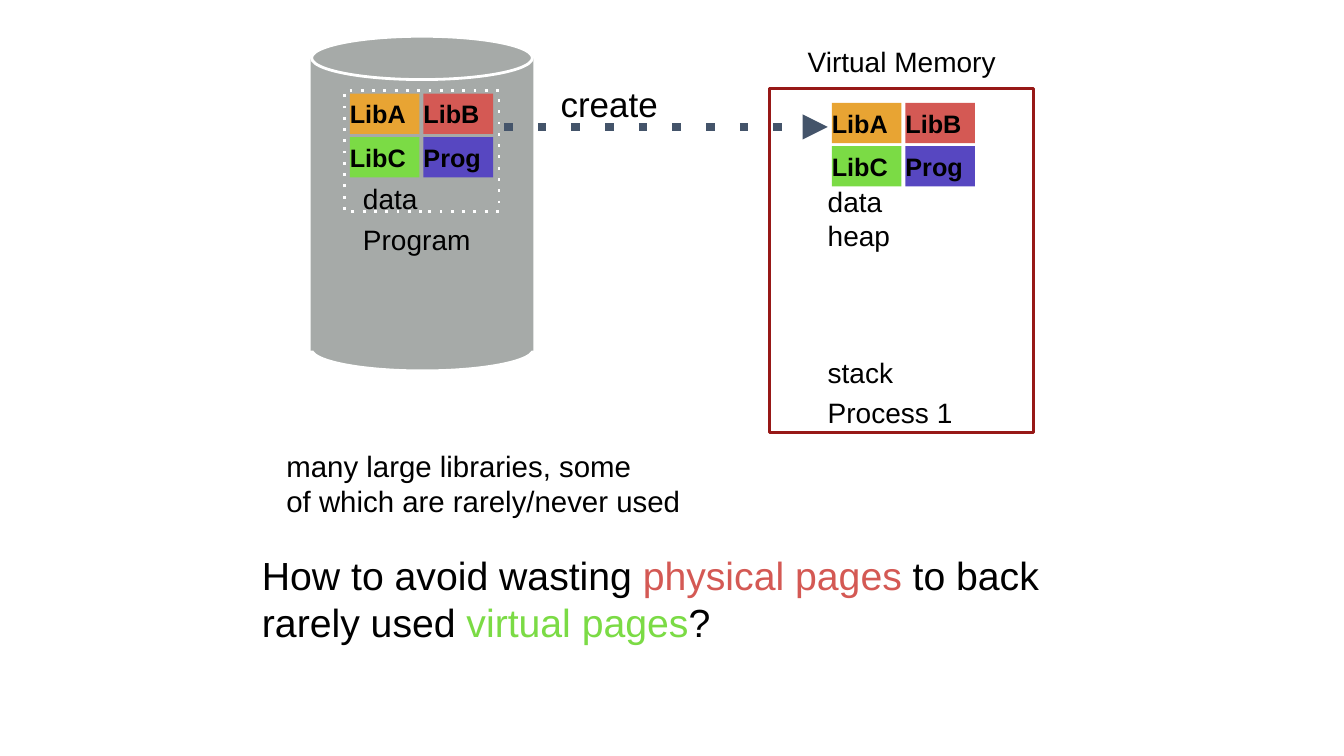
"""Build the slide on loading many libraries into virtual memory."""
from dataclasses import dataclass
from typing import Optional

from lxml.etree import SubElement
from pptx import Presentation
from pptx.dml.color import RGBColor
from pptx.enum.shapes import MSO_CONNECTOR, MSO_SHAPE
from pptx.enum.text import MSO_ANCHOR, PP_ALIGN
from pptx.oxml.ns import qn
from pptx.util import Inches, Pt

BLACK = RGBColor(0x00, 0x00, 0x00)
WHITE = RGBColor(0xFF, 0xFF, 0xFF)
GRAY = RGBColor(0xA6, 0xAA, 0xA8)
MAROON = RGBColor(0x97, 0x18, 0x17)
SLATE = RGBColor(0x44, 0x54, 0x6A)
ORANGE = RGBColor(0xE8, 0xA4, 0x33)
RED = RGBColor(0xD4, 0x59, 0x54)
GREEN = RGBColor(0x7B, 0xDB, 0x45)
PURPLE = RGBColor(0x57, 0x47, 0xC1)
FONT = "Arial"


@dataclass
class Run:
    text: str
    color: RGBColor = BLACK


@dataclass
class Para:
    runs: list[Run]
    before: float = 0
    spacing: float = 1


@dataclass
class Label:
    box: tuple[float, float, float, float]
    size: float
    paras: list[Para]
    inset: tuple[float, float] = (0, 0)
    anchor: MSO_ANCHOR = MSO_ANCHOR.TOP


@dataclass
class Block:
    text: str
    fill: RGBColor


MIDDLE = MSO_ANCHOR.MIDDLE
BLOCKS = [Block("LibA", ORANGE), Block("LibB", RED),
          Block("LibC", GREEN), Block("Prog", PURPLE)]
BLOCK_ORIGINS = [(3.47, 0.93), (8.25, 1.02)]
BLOCK_W, BLOCK_H = 0.69, 0.4
STEP_X, STEP_Y = 0.73, 0.43

LABELS = [
    Label((3.6, 1.8, 1.39, 0.73), 20,
          [Para([Run("data")]), Para([Run("Program")], before=5)]),
    Label((5.52, 0.78, 1.55, 0.5), 25, [Para([Run("create")])],
          (0.04, 0.04), MIDDLE),
    Label((8.21, 1.83, 1.84, 2.42), 20,
          [Para([Run("data")]), Para([Run("heap")]),
           Para([Run("stack")], before=74),
           Para([Run("Process 1")], before=4.5)]),
    Label((2.8, 4.4, 5.49, 0.79), 21,
          [Para([Run("many large libraries, some")]),
           Para([Run("of which are rarely/never used")])],
          (0.04, 0.04), MIDDLE),
    Label((7.97, 0.46, 2.08, 0.35), 20,
          [Para([Run("Virtual Memory")], spacing=0.8)], (0.04, 0.04), MIDDLE),
    Label((2.5, 5.42, 8.33, 1.04), 28,
          [Para([Run("How to avoid wasting "), Run("physical pages", RED),
                 Run(" to back rarely used "), Run("virtual pages", GREEN),
                 Run("?")])], (0.1, 0.05)),
]


def fill_text(tf, paras: list[Para], size: float, inset: tuple[float, float],
              anchor: MSO_ANCHOR, bold: bool = False) -> None:
    """Write paragraphs run by run into a text frame."""
    tf.word_wrap = True
    tf.vertical_anchor = anchor
    tf.margin_left = tf.margin_right = Inches(inset[0])
    tf.margin_top = tf.margin_bottom = Inches(inset[1])
    for i, para in enumerate(paras):
        p = tf.add_paragraph() if i else tf.paragraphs[0]
        p.alignment = PP_ALIGN.LEFT
        p.line_spacing = para.spacing
        if para.before:
            p.space_before = Pt(para.before)
        for run in para.runs:
            r = p.add_run()
            r.text = run.text
            r.font.name = FONT
            r.font.size = Pt(size)
            r.font.bold = bold
            r.font.color.rgb = run.color


def add_label(s, label: Label) -> None:
    """Add a text box."""
    sp = s.shapes.add_textbox(*map(Inches, label.box))
    fill_text(sp.text_frame, label.paras, label.size, label.inset, label.anchor)


def dot_line(line) -> None:
    """Give a coloured line square dots."""
    SubElement(line._get_or_add_ln(), qn("a:prstDash"), val="dot")


def add_figure(s, kind: MSO_SHAPE, box: tuple[float, float, float, float],
               fill: Optional[RGBColor] = None,
               line: Optional[RGBColor] = None):
    """Add a preset shape with an optional fill and outline."""
    sp = s.shapes.add_shape(kind, *map(Inches, box))
    sp.shadow.inherit = False
    if fill is None:
        sp.fill.background()
    else:
        sp.fill.solid()
        sp.fill.fore_color.rgb = fill
    if line is None:
        sp.line.fill.background()
    else:
        sp.line.color.rgb = line
        sp.line.width = Pt(2)
    return sp


def add_blocks(s, left: float, top: float) -> None:
    """Add the two-by-two grid of libraries and program code."""
    for i, block in enumerate(BLOCKS):
        row, col = divmod(i, 2)
        box = (left + col * STEP_X, top + row * STEP_Y, BLOCK_W, BLOCK_H)
        sp = add_figure(s, MSO_SHAPE.RECTANGLE, box, block.fill)
        fill_text(sp.text_frame, [Para([Run(block.text)])], 18, (0, 0),
                  MIDDLE, bold=True)


def add_create_arrow(s) -> None:
    """Add the dotted arrow from the program to the process."""
    ends = map(Inches, (5, 1.26, 8.21, 1.26))
    arrow = s.shapes.add_connector(MSO_CONNECTOR.STRAIGHT, *ends)
    arrow.line.color.rgb = SLATE
    arrow.line.width = Pt(6)
    dot_line(arrow.line)
    SubElement(arrow.line._get_or_add_ln(), qn("a:tailEnd"), type="triangle")
    SubElement(arrow._element.spPr, qn("a:effectLst"))


def main() -> None:
    """Build and save the slide."""
    prs = Presentation()
    prs.slide_width, prs.slide_height = Inches(13.33), Inches(7.5)
    s = prs.slides.add_slide(prs.slide_layouts[6])
    add_figure(s, MSO_SHAPE.OVAL, (3.09, 3.25, 2.2, 0.43), GRAY, WHITE)
    add_figure(s, MSO_SHAPE.RECTANGLE, (3.08, 0.58, 2.21, 2.9), GRAY)
    add_figure(s, MSO_SHAPE.OVAL, (3.09, 0.36, 2.19, 0.43), GRAY, WHITE)
    program = add_figure(s, MSO_SHAPE.RECTANGLE, (3.42, 0.9, 1.53, 1.2),
                         line=WHITE)
    dot_line(program.line)
    add_figure(s, MSO_SHAPE.RECTANGLE, (7.63, 0.88, 2.62, 3.41), WHITE, MAROON)
    add_create_arrow(s)
    for left, top in BLOCK_ORIGINS:
        add_blocks(s, left, top)
    for label in LABELS:
        add_label(s, label)
    prs.save("out.pptx")


if __name__ == "__main__":
    main()
